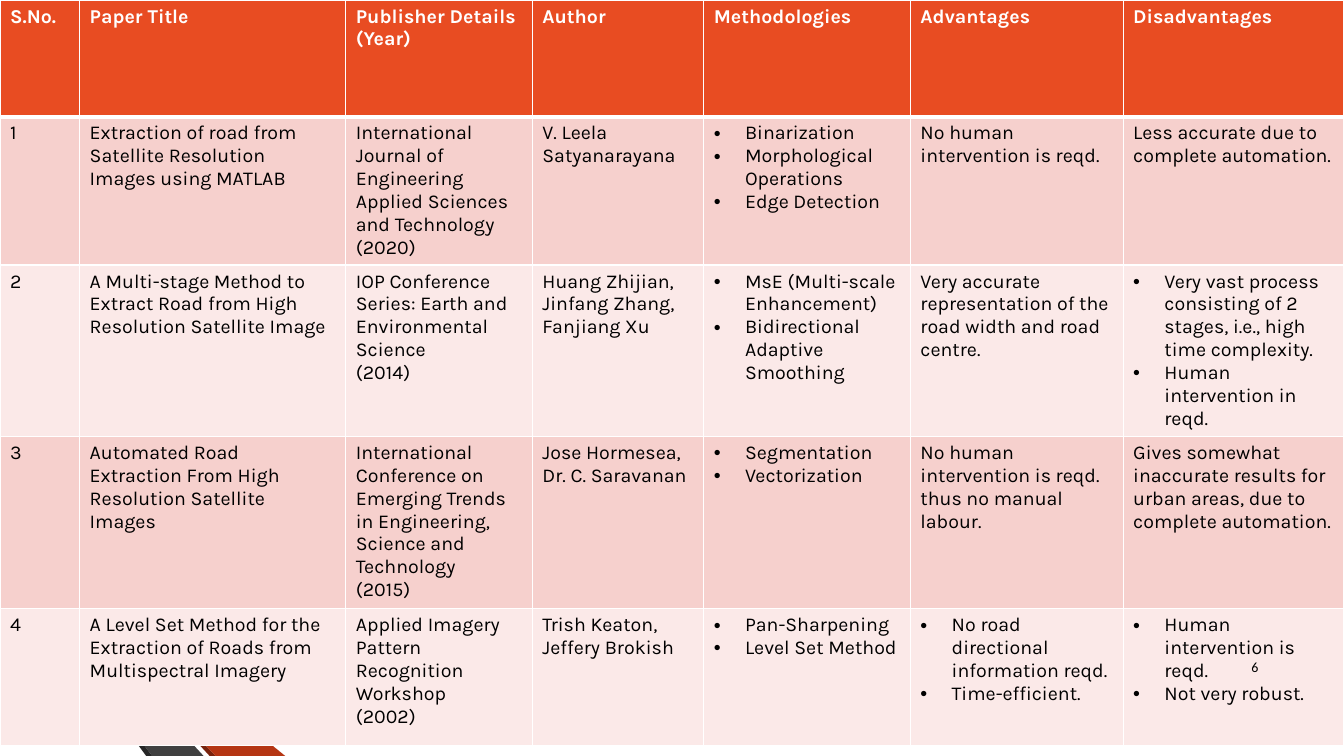
from dataclasses import dataclass

from lxml import etree
from pptx import Presentation
from pptx import util as u
from pptx.dml.color import RGBColor
from pptx.enum import text
from pptx.oxml import ns


@dataclass(frozen=True)
class Theme:
    accent: str = "E84C22"
    dark_accent: str = "B53513"
    deep_accent: str = "78230D"
    grey: str = "404040"
    dark_grey: str = "262626"
    odd_row: str = "F6D0CD"
    even_row: str = "FBE9E8"
    white: str = "FFFFFF"
    black: str = "000000"
    table_font: str = "Karla"
    number_font: str = "Calibri"
    table_size: int = 14
    number_size: int = 10


theme = Theme()


def write(paragraph, words, **font_values):
    run = paragraph.add_run()
    run.text = words
    run.font.color.rgb = RGBColor.from_string(font_values.pop("color"))
    for name, value in font_values.items():
        setattr(run.font, name, value)


def add_border(cell, position, side, points):
    line = etree.Element(ns.qn(f"a:ln{side}"), w=str(u.Pt(points)))
    fill = etree.SubElement(line, ns.qn("a:solidFill"))
    etree.SubElement(fill, ns.qn("a:srgbClr"), val=theme.white)
    cell._tc.get_or_add_tcPr().insert(position, line)


deck = Presentation()
deck.slide_width = u.Inches(13.33)
deck.slide_height = u.Inches(7.5)
slide = deck.slides.add_slide(deck.slide_layouts[6])

# Folded ribbons that emerge below the table, in hundredths of an inch
ribbons = [
    (theme.dark_grey, [(16, 573), (145, 750), (151, 750)]),
    (theme.deep_accent, [(50, 579), (208, 750), (214, 750)]),
    (theme.dark_accent, [(50, 579), (214, 750), (283, 750), (77, 583), (50, 578)]),
    (theme.grey, [(202, 750), (48, 583), (44, 577), (16, 573), (151, 750)]),
]
for color, corners in ribbons:
    builder = slide.shapes.build_freeform(*corners[0], scale=u.Inches(0.01))
    builder.add_line_segments(corners[1:], close=True)
    ribbon = builder.convert_to_shape()
    ribbon.shadow.inherit = False
    ribbon.fill.solid()
    ribbon.fill.fore_color.rgb = RGBColor.from_string(color)
    ribbon.line.fill.background()

# Literature survey: a list becomes bullets, a line break a new paragraph
papers = [
    ["S.No.", "Paper Title", "Publisher Details\n(Year)", "Author",
     "Methodologies", "Advantages", "Disadvantages"],
    ["1", "Extraction of road from Satellite Resolution Images using MATLAB",
     "International Journal of Engineering Applied Sciences and Technology\n(2020)",
     "V. Leela Satyanarayana",
     ["Binarization", "Morphological Operations", "Edge Detection"],
     "No human intervention is reqd.",
     "Less accurate due to complete automation."],
    ["2", "A Multi-stage Method to Extract Road from High Resolution Satellite Image",
     "IOP Conference Series: Earth and Environmental Science\n(2014)",
     "Huang Zhijian, Jinfang Zhang, Fanjiang Xu",
     ["MsE (Multi-scale Enhancement)", "Bidirectional Adaptive Smoothing"],
     "Very accurate representation of the road width and road centre.",
     ["Very vast process consisting of 2 stages, i.e., high time complexity.",
      "Human intervention in reqd."]],
    ["3", "Automated Road Extraction From High Resolution Satellite Images",
     "International Conference on Emerging Trends in Engineering, "
     "Science and Technology\n(2015)",
     "Jose Hormesea, Dr. C. Saravanan",
     ["Segmentation", "Vectorization"],
     "No human intervention is reqd. thus no manual labour.",
     "Gives somewhat inaccurate results for urban areas, due to complete automation."],
    ["4", "A Level Set Method for the Extraction of Roads from Multispectral Imagery",
     "Applied Imagery Pattern Recognition Workshop\n(2002)",
     "Trish Keaton,\nJeffery Brokish",
     ["Pan-Sharpening", "Level Set Method"],
     ["No road directional information reqd.", "Time-efficient."],
     ["Human intervention is reqd.", "Not very robust."]],
]
column_widths = [0.79, 2.64, 1.85, 1.7, 2.05, 2.11, 2.19]
row_heights = [1.16, 1.47, 1.7, 1.71, 1.36]

survey = slide.shapes.add_table(
    len(papers), len(column_widths), 0, 0,
    u.Inches(sum(column_widths)), u.Inches(sum(row_heights))).table
for column, width in zip(survey.columns, column_widths):
    column.width = u.Inches(width)
for row, height in zip(survey.rows, row_heights):
    row.height = u.Inches(height)

for r, paper in enumerate(papers):
    heading = r == 0
    row_color = theme.accent if heading else theme.odd_row if r % 2 else theme.even_row
    borders = {"L": 1, "R": 1, "T": 3 if r == 1 else 1, "B": 3 if heading else 1}
    for c, content in enumerate(paper):
        cell = survey.cell(r, c)
        cell.fill.solid()
        cell.fill.fore_color.rgb = RGBColor.from_string(row_color)
        for position, (side, points) in enumerate(borders.items()):
            add_border(cell, position, side, points)

        bulleted = isinstance(content, list)
        for i, words in enumerate(content if bulleted else content.split("\n")):
            frame = cell.text_frame
            paragraph = frame.add_paragraph() if i else frame.paragraphs[0]
            if bulleted:
                properties = paragraph._p.get_or_add_pPr()
                properties.set("marL", str(u.Inches(0.31)))
                properties.set("indent", str(u.Inches(-0.31)))
                etree.SubElement(properties, ns.qn("a:buFont"), typeface="Arial")
                etree.SubElement(properties, ns.qn("a:buChar"), char="•")
            write(paragraph, words, name=theme.table_font, size=u.Pt(theme.table_size),
                  bold=heading, color=theme.white if heading else theme.black)

# Slide number
page_number = slide.shapes.add_textbox(
    u.Inches(11.98), u.Inches(6.42), u.Inches(0.6), u.Inches(0.4)).text_frame
page_number.word_wrap = True
page_number.vertical_anchor = text.MSO_ANCHOR.MIDDLE
page_number.paragraphs[0].alignment = text.PP_ALIGN.RIGHT
write(page_number.paragraphs[0], "6", name=theme.number_font,
      size=u.Pt(theme.number_size), color=theme.black)

deck.save("out.pptx")
